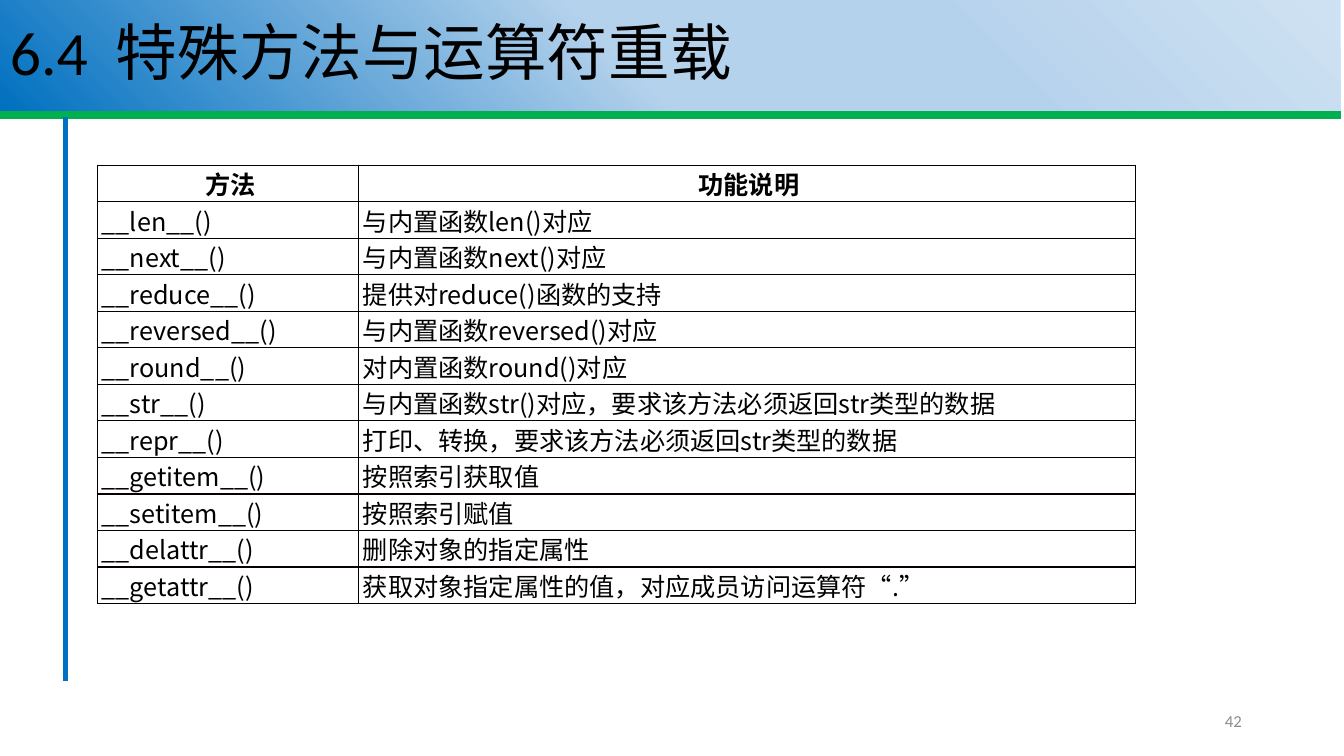
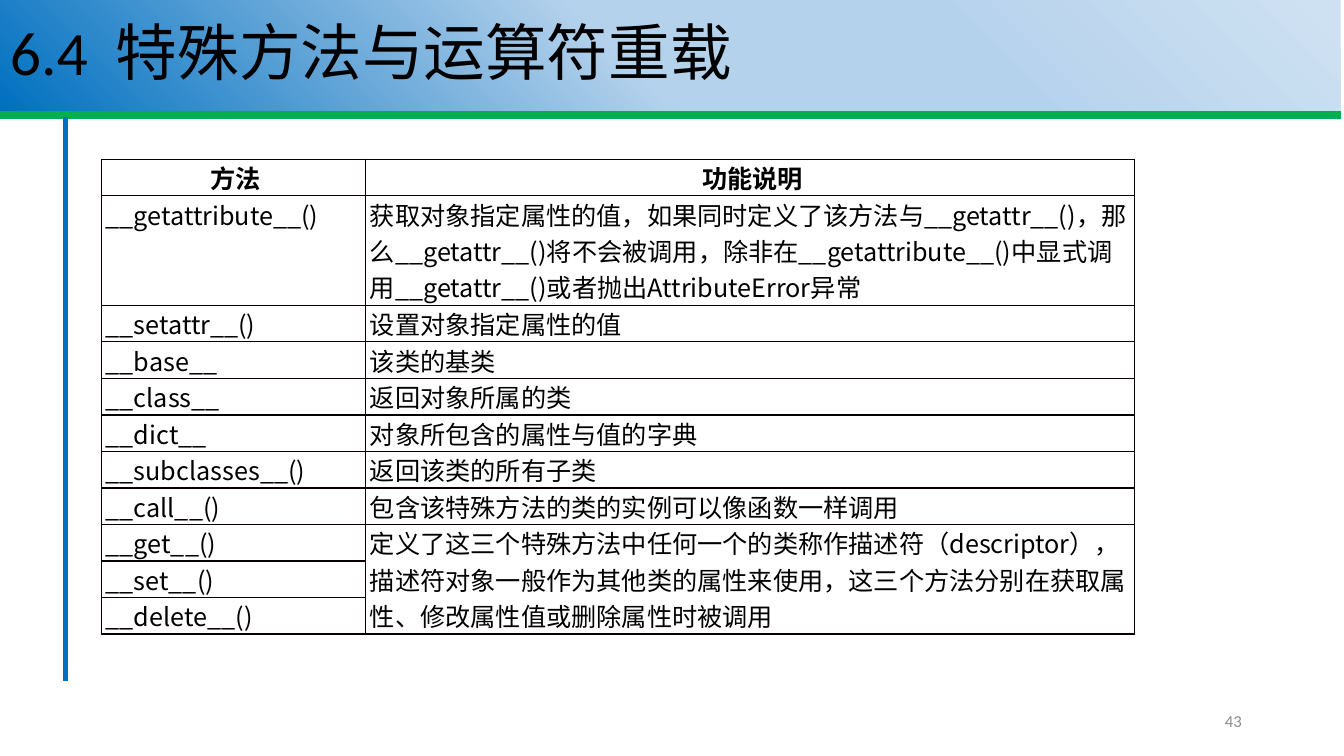
"""Build two slides that list Python special methods in tables."""
from lxml import etree
from pptx import Presentation
from pptx.dml.color import RGBColor
from pptx.enum.shapes import MSO_CONNECTOR, MSO_SHAPE
from pptx.enum.text import MSO_ANCHOR, PP_ALIGN
from pptx.oxml import parse_xml
from pptx.oxml.ns import nsdecls, qn
from pptx.util import Inches, Pt

STRAIGHT = MSO_CONNECTOR.STRAIGHT
RECTANGLE = MSO_SHAPE.RECTANGLE
MIDDLE = MSO_ANCHOR.MIDDLE
LEFT, CENTER, RIGHT = PP_ALIGN.LEFT, PP_ALIGN.CENTER, PP_ALIGN.RIGHT

COLORS = {
    "text": "000000",
    "number": "8C8C8C",
    "green": "00B050",
    "blue": "0070C0",
    "pale": "CEE1F2",
    "light": "B5D2EC",
    "border": "080000",
}
BAND_STOPS = [(1, "pale"), (29, "light"), (53, "light"), (100, "blue")]
BAND_ANGLE = 135
LATIN_FONT, CHINESE_FONT = "Calibri", "Noto Sans CJK SC"
TABLE_SIZE = 18
FORMATS = {
    "title": {"size": Pt(44), "name": LATIN_FONT},
    "number": {"size": Pt(12), "name": LATIN_FONT},
    "header": {"size": Pt(TABLE_SIZE), "name": CHINESE_FONT, "bold": True},
    "body": {"size": Pt(TABLE_SIZE), "name": CHINESE_FONT, "bold": False},
}
CELL_MARGINS = {
    "margin_left": Inches(0.04),
    "margin_right": 0,
    "margin_top": 0,
    "margin_bottom": 0,
}
TITLE = "6.4  特殊方法与运算符重载"
HEADER = ("方法", "功能说明")
ROW_HEIGHT = TABLE_SIZE * 1.45 / 72

TABLES = [
    {
        "number": 42,
        "at": (0.97, 1.64),
        "columns": (2.59, 7.7),
        "rows": [
            ("__len__()", "与内置函数len()对应"),
            ("__next__()", "与内置函数next()对应"),
            ("__reduce__()", "提供对reduce()函数的支持"),
            ("__reversed__()", "与内置函数reversed()对应"),
            ("__round__()", "对内置函数round()对应"),
            ("__str__()", "与内置函数str()对应，要求该方法必须返回str类型的数据"),
            ("__repr__()", "打印、转换，要求该方法必须返回str类型的数据"),
            ("__getitem__()", "按照索引获取值"),
            ("__setitem__()", "按照索引赋值"),
            ("__delattr__()", "删除对象的指定属性"),
            ("__getattr__()", "获取对象指定属性的值，对应成员访问运算符“.”"),
        ],
        "lines": {},
        "merge": None,
    },
    {
        "number": 43,
        "at": (1.01, 1.58),
        "columns": (2.62, 7.63),
        "rows": [
            ("__getattribute__()",
             "获取对象指定属性的值，如果同时定义了该方法与__getattr__()，"
             "那么__getattr__()将不会被调用，除非在__getattribute__()中显"
             "式调用__getattr__()或者抛出AttributeError异常"),
            ("__setattr__()", "设置对象指定属性的值"),
            ("__base__", "该类的基类"),
            ("__class__", "返回对象所属的类"),
            ("__dict__", "对象所包含的属性与值的字典"),
            ("__subclasses__()", "返回该类的所有子类"),
            ("__call__()", "包含该特殊方法的类的实例可以像函数一样调用"),
            ("__get__()",
             "定义了这三个特殊方法中任何一个的类称作描述符（descriptor），"
             "描述符对象一般作为其他类的属性来使用，这三个方法分别在获取属"
             "性、修改属性值或删除属性时被调用"),
            ("__set__()", None),
            ("__delete__()", None),
        ],
        "lines": {1: 3},
        "merge": (8, 10),
    },
]


def set_attributes(target, values):
    """Set every attribute of the dict on the target."""
    for attribute, value in values.items():
        setattr(target, attribute, value)


def write_text(frame, text, style, align=LEFT, color="text"):
    """Write one formatted paragraph and return it."""
    para = frame.paragraphs[0]
    para.alignment = align
    span = para.add_run()
    span.text = text
    set_attributes(span.font, FORMATS[style])
    span.font.color.rgb = RGBColor.from_string(COLORS[color])
    properties = span.font._element
    etree.SubElement(properties, qn("a:ea")).set("typeface", CHINESE_FONT)
    return para


def add_line(page, start, end, color, width):
    """Draw a straight line without a shadow."""
    points = [Inches(value) for value in (*start, *end)]
    line = page.shapes.add_connector(STRAIGHT, *points)
    line.line.color.rgb = RGBColor.from_string(COLORS[color])
    line.line.width = Pt(width)
    etree.SubElement(line._element.spPr, qn("a:effectLst"))


def fill_gradient(box):
    """Give the box the gradient of the title band."""
    stops = "".join(
        f'<a:gs pos="{place * 1000}"><a:srgbClr val="{COLORS[color]}"/></a:gs>'
        for place, color in BAND_STOPS)
    gradient = parse_xml(
        f'<a:gradFill {nsdecls("a")} rotWithShape="1"><a:gsLst>{stops}</a:gsLst>'
        f'<a:lin ang="{BAND_ANGLE * 60000}" scaled="0"/></a:gradFill>')
    box._element.spPr.find(qn("a:prstGeom")).addnext(gradient)


def add_title(page):
    """Draw the title band with its text."""
    box = page.shapes.add_shape(RECTANGLE, 0, 0, Inches(13.3), Inches(1.1))
    box.shadow.inherit = False
    box.line.fill.background()
    fill_gradient(box)
    box.text_frame.vertical_anchor = MIDDLE
    para = write_text(box.text_frame, TITLE, "title")
    para.line_spacing = 0.9


def add_number(page, number):
    """Write the page number at the lower right."""
    box = page.shapes.add_textbox(Inches(9.42), Inches(6.95), Inches(3), Inches(0.4))
    set_attributes(box.text_frame, {"word_wrap": True, "vertical_anchor": MIDDLE})
    write_text(box.text_frame, str(number), "number", RIGHT, "number")


def set_borders(cell, right_width):
    """Draw the four borders of a cell."""
    widths = {"lnL": 1, "lnR": right_width, "lnT": 1, "lnB": 1}
    properties = cell._tc.get_or_add_tcPr()
    for index, (side, width) in enumerate(widths.items()):
        border = parse_xml(
            f'<a:{side} {nsdecls("a")} w="{Pt(width)}"><a:solidFill>'
            f'<a:srgbClr val="{COLORS["border"]}"/></a:solidFill></a:{side}>')
        properties.insert(index, border)


def add_method_table(page, content):
    """Draw the table of methods and their descriptions."""
    rows = [HEADER, *content["rows"]]
    heights = [ROW_HEIGHT * content["lines"].get(index, 1) for index in range(len(rows))]
    columns = content["columns"]
    sizes = [Inches(value) for value in (*content["at"], sum(columns), sum(heights))]
    table = page.shapes.add_table(len(rows), len(columns), *sizes).table
    set_attributes(table, {"first_row": False, "horz_banding": False})
    for column, width in zip(table.columns, columns):
        column.width = Inches(width)
    for row_index, texts in enumerate(rows):
        table.rows[row_index].height = Inches(heights[row_index])
        style, align = ("body", LEFT) if row_index else ("header", CENTER)
        for column_index, text in enumerate(texts):
            cell = table.cell(row_index, column_index)
            set_attributes(cell, CELL_MARGINS)
            cell.fill.background()
            set_borders(cell, 0.75 if column_index else 1)
            if text:
                write_text(cell.text_frame, text, style, align)
    if content["merge"]:
        first, last = content["merge"]
        table.cell(first, 1).merge(table.cell(last, 1))


def add_page(deck, content):
    """Add one slide with the shared frame and its table."""
    page = deck.slides.add_slide(deck.slide_layouts[6])
    add_line(page, (0, 1.14), (13.3, 1.14), "green", 5.25)
    add_line(page, (0.65, 1.16), (0.65, 6.76), "blue", 3.75)
    add_title(page)
    add_number(page, content["number"])
    add_method_table(page, content)


def main():
    """Build and save the deck."""
    deck = Presentation()
    set_attributes(deck, {"slide_width": Inches(40 / 3), "slide_height": Inches(7.5)})
    for content in TABLES:
        add_page(deck, content)
    deck.save("out.pptx")


if __name__ == "__main__":
    main()
